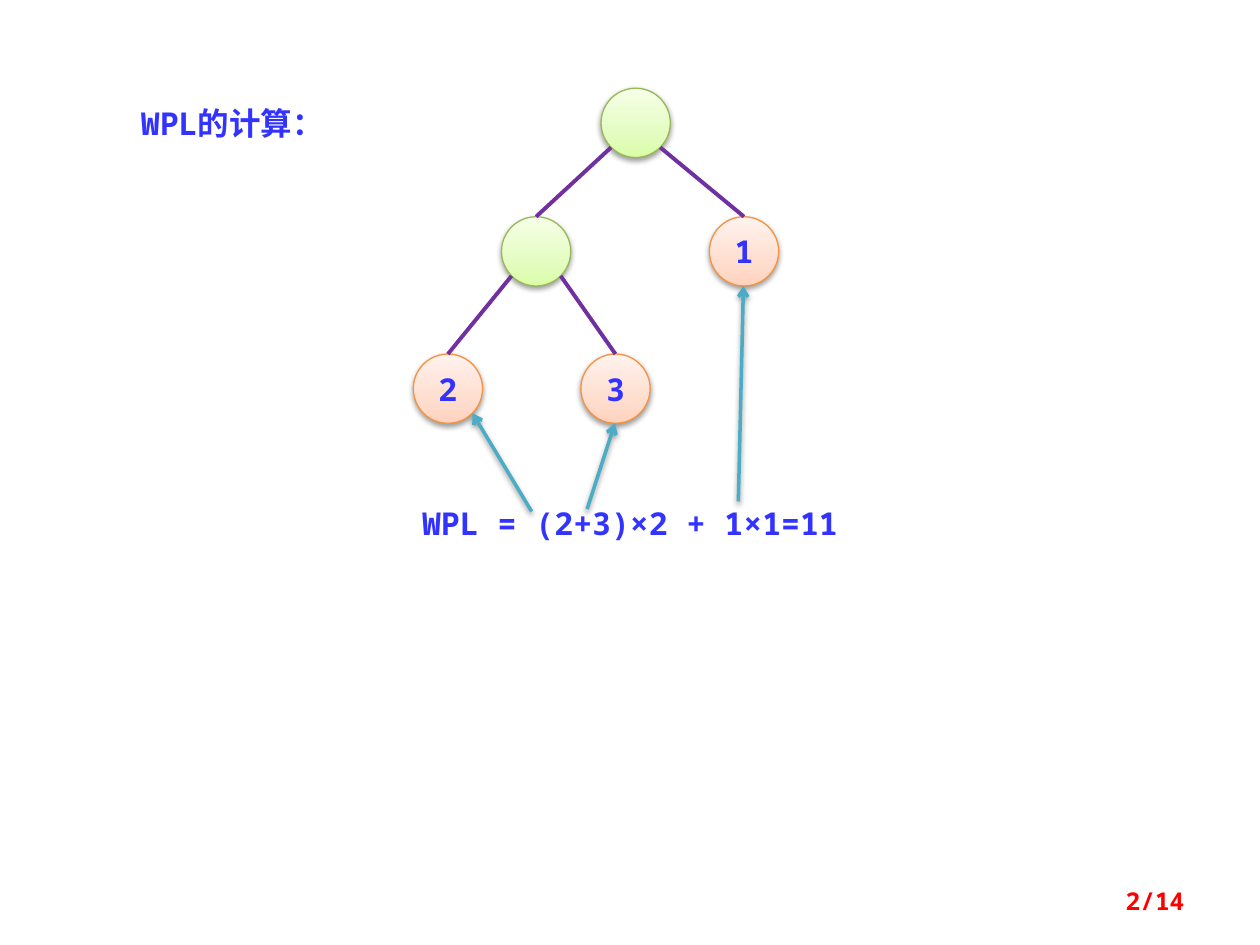
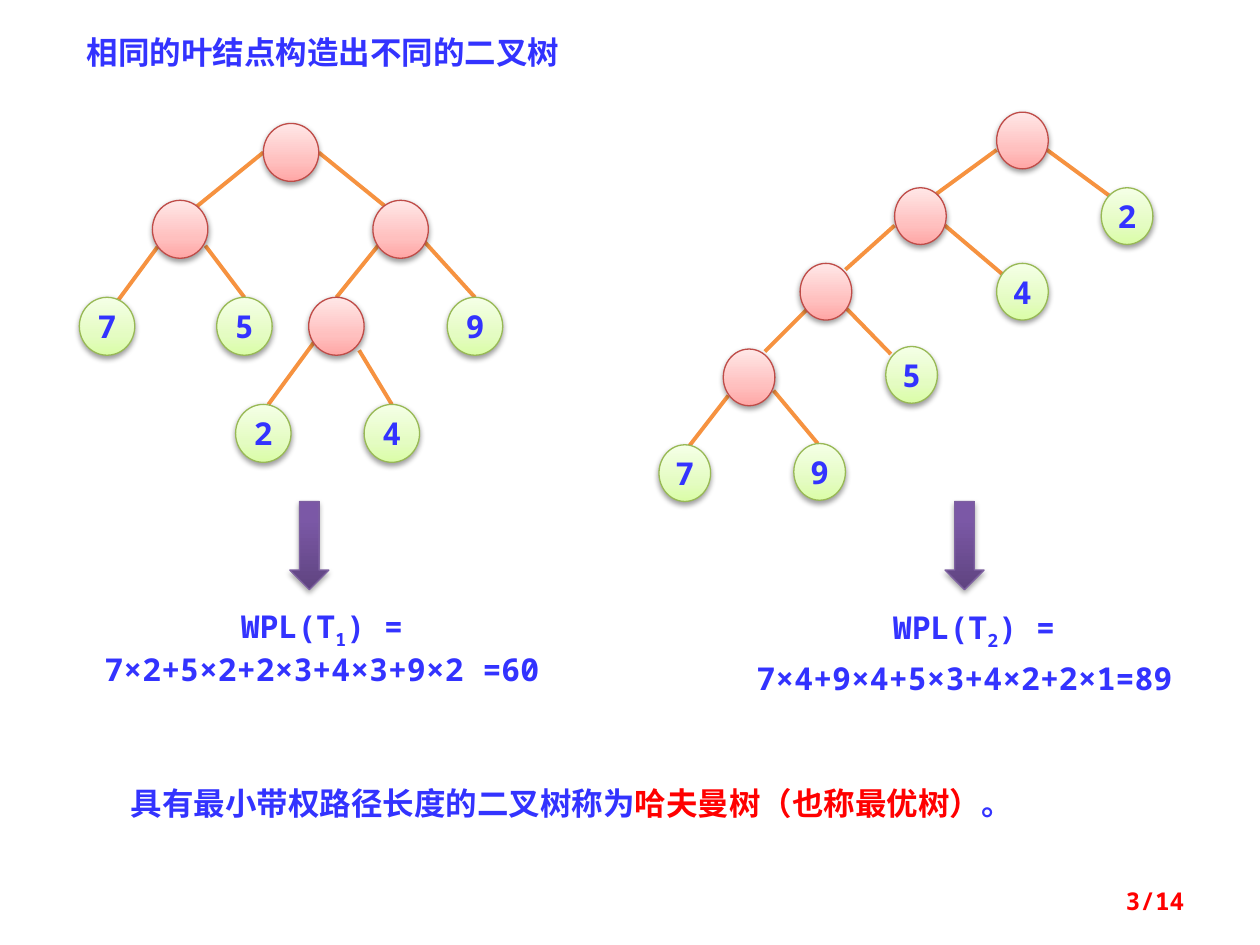
from dataclasses import dataclass

from lxml import etree
from pptx import Presentation
from pptx.dml.color import RGBColor
from pptx.enum.lang import MSO_LANGUAGE_ID
from pptx.enum.shapes import MSO_CONNECTOR, MSO_SHAPE
from pptx.enum.text import MSO_ANCHOR, MSO_AUTO_SIZE, PP_ALIGN
from pptx.oxml.ns import qn
from pptx.util import Inches, Pt

OVAL, DOWN = MSO_SHAPE.OVAL, MSO_SHAPE.DOWN_ARROW
LINE = MSO_CONNECTOR.STRAIGHT
LEFT, MID, RIGHT = PP_ALIGN.LEFT, PP_ALIGN.CENTER, PP_ALIGN.RIGHT
TOP, CENTER = MSO_ANCHOR.TOP, MSO_ANCHOR.MIDDLE
GROW = MSO_AUTO_SIZE.SHAPE_TO_FIT_TEXT
CHINESE = MSO_LANGUAGE_ID.SIMPLIFIED_CHINESE


@dataclass(frozen=True)
class Theme:
    blue: str = "3333FF"
    red: str = "FF0000"
    purple: str = "7030A0"
    orange: str = "F69240"
    teal: str = "4BACC6"
    # Each look: outline, then (position, colour) stops from bottom to top
    green: tuple = ("98B955", (0, "DAFDA7"), (35, "E4FCC2"), (100, "F5FFE7"))
    peach: tuple = ("F69240", (0, "FFD2BD"), (35, "FFDED0"), (100, "FFF2ED"))
    pink: tuple = ("BF4C48", (0, "FFA6A5"), (35, "FFC0BF"), (100, "FFE7E7"))
    violet: tuple = ("7D60A0", (0, "5F4480"), (80, "7B58A6"), (100, "7C57A8"))
    mono: str = "Noto Sans Mono"
    sans: str = "Noto Sans CJK JP"
    serif: str = "Times New Roman"
    body: int = 18
    small: int = 14
    thin: float = 0.75
    edge: float = 2.25
    point: float = 2


def apply(item, **values):
    for name, value in values.items():
        setattr(item, name, value)


def add(parent, tag, **values):
    return etree.SubElement(parent, qn(tag), {k: str(v) for k, v in values.items()})


class Deck:
    def __init__(self, theme):
        self.theme = theme
        self.prs = Presentation()
        apply(self.prs, slide_width=Inches(10), slide_height=Inches(7.5))

    def page(self, label):
        self.slide = self.prs.slides.add_slide(self.prs.slide_layouts[6])
        self.shapes = self.slide.shapes
        self.text((7.17, 6.95, 2.33, 0.4), [[(label, self.theme.red)]],
                  align=RIGHT, size=self.theme.small, anchor=CENTER, grow=False)

    def shade(self, effects, alpha=38, dist=20000):
        glow = add(effects, "a:outerShdw", blurRad=40000, dist=dist,
                   dir=5400000, rotWithShape=0)
        add(add(glow, "a:srgbClr", val="000000"), "a:alpha", val=alpha * 1000)

    def fill(self, para, runs, size=None, font=None):
        """Add runs given as plain text or as (text, colour, baseline)."""
        for run in runs:
            words, *rest = (run,) if isinstance(run, str) else run
            hue, base = rest + [None, None][len(rest):]
            part = para.add_run()
            part.text = words
            face = part.font
            apply(face, name=font or self.theme.mono, bold=True,
                  size=Pt(size or self.theme.body), language_id=CHINESE)
            face.color.rgb = RGBColor.from_string(hue or self.theme.blue)
            props = part._r.get_or_add_rPr()
            add(props, "a:ea", typeface=self.theme.sans)
            if base:
                props.set("baseline", str(base * 1000))

    def text(self, at, lines, align=LEFT, size=None, font=None,
             anchor=TOP, grow=True, space=1.0, gap=0):
        frame = self.shapes.add_textbox(*map(Inches, at)).text_frame
        apply(frame, word_wrap=True, vertical_anchor=anchor)
        if grow:
            frame.auto_size = GROW
        for i, runs in enumerate(lines):
            para = frame.add_paragraph() if i else frame.paragraphs[0]
            apply(para, alignment=align, line_spacing=space,
                  space_before=Pt(gap if i else 0))
            self.fill(para, runs, size, font)

    def block(self, kind, at, look, **shade):
        """Add a preset shape with gradient, outline and soft shadow."""
        edge, *stops = look
        shape = self.shapes.add_shape(kind, *map(Inches, at))
        shape.fill.gradient()
        shape.fill.gradient_angle = 90
        shape.line.color.rgb = RGBColor.from_string(edge)
        shape.line.width = Pt(self.theme.thin)
        shape.shadow.inherit = False
        props = shape._element.spPr
        ramp = props.find(qn("a:gradFill")).find(qn("a:gsLst"))
        for old in list(ramp):
            ramp.remove(old)
        for pos, hue in stops:
            add(add(ramp, "a:gs", pos=pos * 1000), "a:srgbClr", val=hue)
        self.shade(props.find(qn("a:effectLst")), **shade)
        return shape

    def node(self, spot, size, look, label=""):
        frame = self.block(OVAL, (*spot, *size), look).text_frame
        if label:
            apply(frame, word_wrap=False, vertical_anchor=CENTER)
            frame.paragraphs[0].alignment = MID
            self.fill(frame.paragraphs[0], [label])

    def down(self, left):
        self.block(DOWN, (left, 3.98, 0.31, 0.7), self.theme.violet,
                   alpha=35, dist=23000)

    def link(self, ends, hue, width, arrow=False):
        line = self.shapes.add_connector(LINE, *map(Inches, ends))
        line.line.color.rgb = RGBColor.from_string(hue)
        line.line.width = Pt(width)
        props = line._element.spPr
        effects = add(props, "a:effectLst")
        if arrow:
            add(props.find(qn("a:ln")), "a:tailEnd", type="arrow")
            self.shade(effects)


def cost(deck):
    theme = deck.theme
    deck.page("2/14")
    deck.text((1.02, 0.78, 2.42, 0.4), [["WPL的计算："]])

    # Tree: inner nodes are blank, leaves carry their weight
    side = 0.55
    root, inner, one, two, three = spots = [
        (4.77, 0.7), (3.98, 1.72), (5.63, 1.72), (3.28, 2.81), (4.61, 2.81)]
    for spot, label in zip(spots, ["", "", "1", "2", "3"]):
        deck.node(spot, (side, side), theme.peach if label else theme.green, label)

    # Edges leave at 45 degrees below and meet the child at its top
    mid = side / 2
    slant = mid * 0.71
    for above, below, way in [(root, inner, -1), (root, one, 1),
                              (inner, two, -1), (inner, three, 1)]:
        ends = (above[0] + mid + way * slant, above[1] + mid + slant,
                below[0] + mid, below[1])
        deck.link(ends, theme.purple, theme.edge)

    # Formula and pointers to the leaves
    deck.text((2.58, 3.95, 4.84, 0.4), [["WPL = (2+3)×2 + 1×1=11"]], align=MID)
    for ends in [(4.22, 4.06, 3.75, 3.28), (4.66, 4.04, 4.88, 3.36),
                 (5.86, 3.98, 5.9, 2.27)]:
        deck.link(ends, theme.teal, theme.point, arrow=True)


def tree(deck, size, edges, nodes):
    theme = deck.theme
    for ends in edges:
        deck.link(ends, theme.orange, theme.edge)
    for x, y, label in nodes:
        deck.node((x, y), size, theme.green if label else theme.pink, label)


def compare(deck):
    theme = deck.theme
    deck.page("3/14")
    deck.text((0.59, 0.21, 7.32, 0.4), [["相同的叶结点构造出不同的二叉树"]],
              font=theme.serif)

    # Balanced tree
    tree(deck, (0.44, 0.46),
         [(2.09, 1.21, 1.56, 1.64), (2.53, 1.21, 3.06, 1.64),
          (1.25, 1.96, 0.94, 2.38), (1.63, 1.95, 1.94, 2.36),
          (3, 1.95, 2.67, 2.36), (3.37, 1.92, 3.77, 2.36),
          (2.49, 2.72, 2.13, 3.21), (2.85, 2.78, 3.11, 3.21)],
         [(2.09, 0.98, ""), (1.21, 1.59, ""), (2.96, 1.59, ""),
          (0.63, 2.36, "7"), (1.72, 2.36, "5"), (2.45, 2.36, ""),
          (3.55, 2.36, "9"), (1.87, 3.21, "2"), (2.89, 3.21, "4")])

    # Skewed tree
    tree(deck, (0.41, 0.45),
         [(7.91, 1.19, 7.43, 1.54), (8.31, 1.19, 8.8, 1.55),
          (7.1, 1.79, 6.71, 2.14), (7.5, 1.79, 7.96, 2.18),
          (6.41, 2.45, 6.07, 2.79), (6.72, 2.45, 7.07, 2.81),
          (5.78, 3.14, 5.47, 3.54), (6.14, 3.1, 6.49, 3.52)],
         [(7.91, 0.89, ""), (7.1, 1.49, ""), (8.74, 1.49, "2"),
          (6.35, 2.09, ""), (7.91, 2.09, "4"), (5.74, 2.77, ""),
          (7.03, 2.75, "5"), (5.23, 3.53, "7"), (6.3, 3.52, "9")])

    # Cost of each tree
    for left, at, index, total, form in [
            (2.3, (0.39, 4.8, 4.33, 0.74), "1", "7×2+5×2+2×3+4×3+9×2 =60",
             {"space": 0.8, "gap": 7}),
            (7.5, (5.78, 4.71, 3.9, 0.83), "2", "7×4+9×4+5×3+4×2+2×1=89 ",
             {"space": 1.2})]:
        deck.down(left)
        deck.text(at, [["WPL(T", (index, theme.blue, -25), ") ="], [total]],
                  align=MID, **form)

    # Definition
    deck.text((0.94, 6.17, 8.28, 0.4),
              [["具有最小带权路径长度的二叉树称为",
                ("哈夫曼树（也称最优树）", theme.red), "。"]], font=theme.sans)


def main():
    deck = Deck(Theme())
    cost(deck)
    compare(deck)
    deck.prs.save("out.pptx")


if __name__ == "__main__":
    main()
